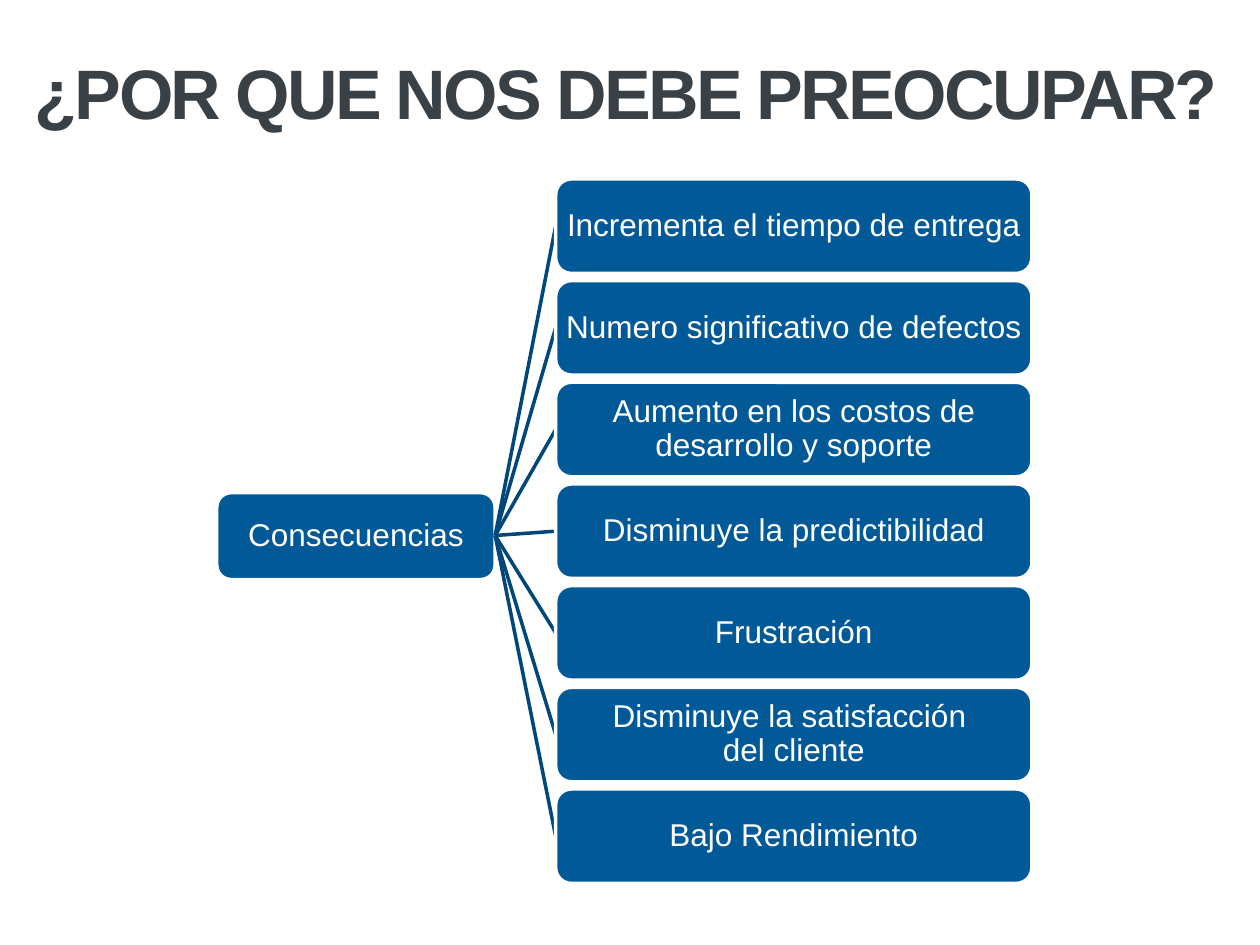
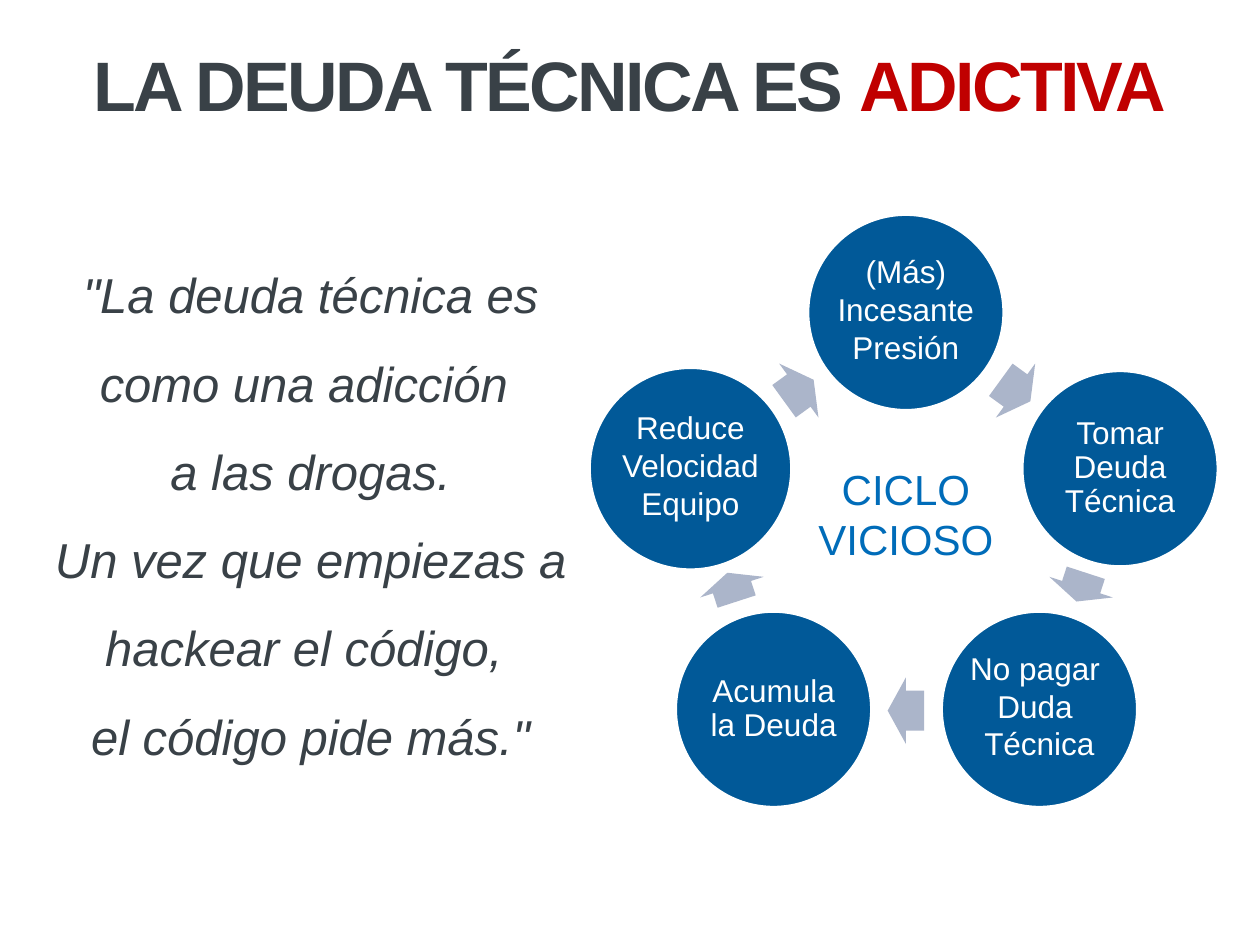
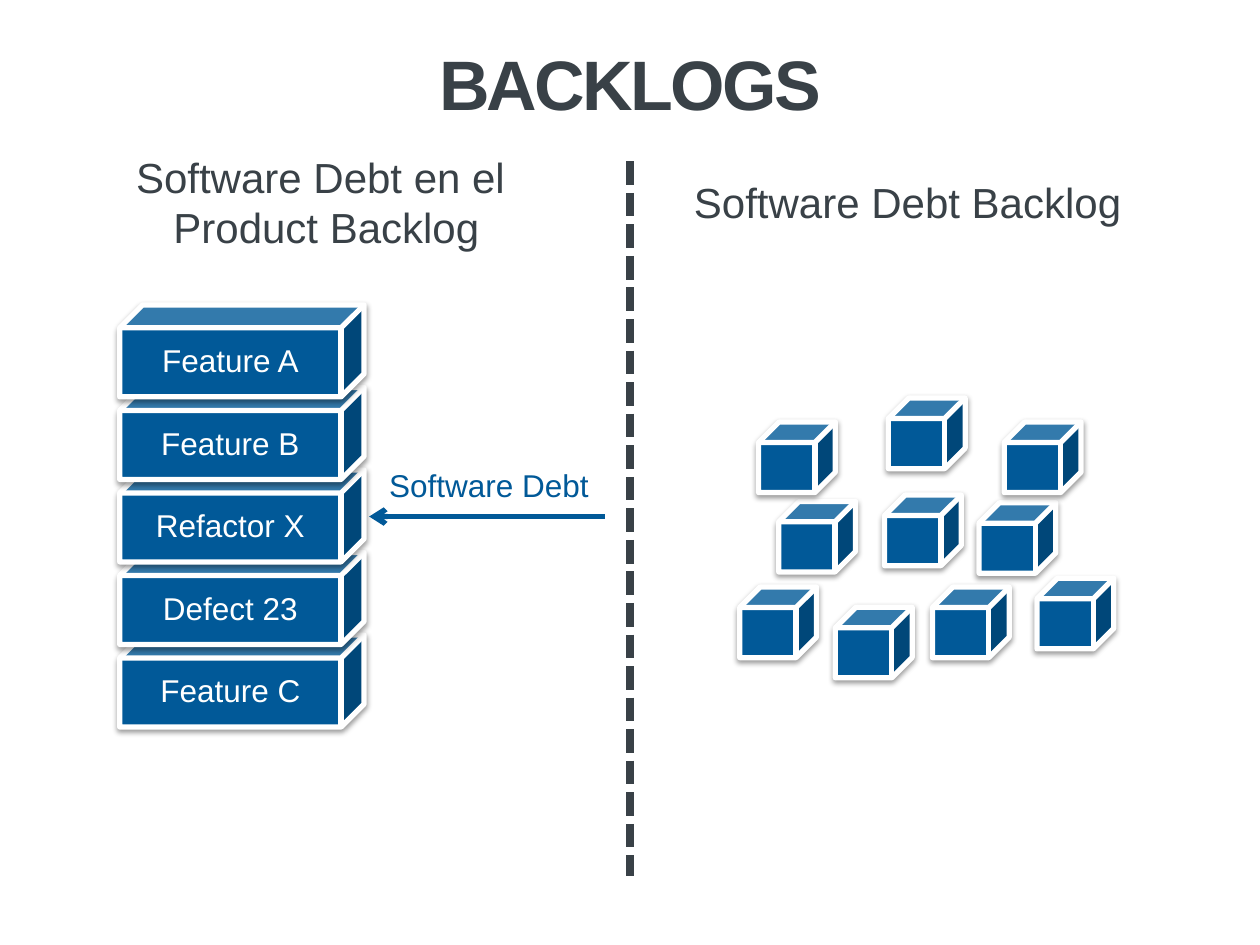
import pptx
import pptx.util
import pptx.dml.color
import pptx.enum.dml
import pptx.enum.shapes
import pptx.enum.text
import pptx.oxml
import pptx.oxml.ns

Inches = pptx.util.Inches
Pt = pptx.util.Pt
RGBColor = pptx.dml.color.RGBColor
SHAPE = pptx.enum.shapes.MSO_SHAPE
ALIGN = pptx.enum.text.PP_ALIGN
ANCHOR = pptx.enum.text.MSO_ANCHOR
qn = pptx.oxml.ns.qn

BLUE = RGBColor(0x01, 0x59, 0x98)
DARK_BLUE = RGBColor(0x01, 0x47, 0x7A)
BRIGHT_BLUE = RGBColor(0x00, 0x6C, 0xB9)
GREY_BLUE = RGBColor(0xAB, 0xB5, 0xCA)
SLATE = RGBColor(0x39, 0x41, 0x47)
RED = RGBColor(0xC0, 0x00, 0x00)
WHITE = RGBColor(0xFF, 0xFF, 0xFF)

SHADOW = (
    '<a:outerShdw %s blurRad="39370" dist="20320" dir="5400000" rotWithShape="0">'
    '<a:srgbClr val="000000"><a:alpha val="38000"/></a:srgbClr></a:outerShdw>'
    % pptx.oxml.ns.nsdecls("a")
)


class Deck:
    """Holds the deck style and the slide being drawn."""

    font = "Arial"

    def __init__(self):
        self.prs = pptx.Presentation()
        self.prs.slide_width, self.prs.slide_height = Inches(10), Inches(7.5)
        self.slide = None

    def new_slide(self):
        self.slide = self.prs.slides.add_slide(self.prs.slide_layouts[6])

    def run(self, p, text, size, color, bold=False, italic=False):
        """Add text to a paragraph; a newline becomes a line break."""
        for i, line in enumerate(text.split("\n")):
            if i:
                p.add_line_break()
            r = p.add_run()
            r.text = line
            r.font.name, r.font.size = self.font, Pt(size)
            r.font.bold, r.font.italic = bold, italic
            r.font.color.rgb = color
        return r

    def title(self, y, h, *parts, x=0.5, w=9):
        box = self.slide.shapes.add_textbox(Inches(x), Inches(y), Inches(w), Inches(h))
        tf = box.text_frame
        tf.word_wrap, tf.vertical_anchor = True, ANCHOR.MIDDLE
        p = tf.paragraphs[0]
        p.alignment = ALIGN.CENTER
        for text, color in parts:
            r = self.run(p, text, 40, color, bold=True)
            r.font._element.set("spc", "-150")

    def text(self, x, y, w, h, *paragraphs, size, color, align=ALIGN.CENTER,
             spacing=1.0, italic=False, wrap=True):
        box = self.slide.shapes.add_textbox(Inches(x), Inches(y), Inches(w), Inches(h))
        tf = box.text_frame
        tf.word_wrap = wrap
        for i, text in enumerate(paragraphs):
            p = tf.add_paragraph() if i else tf.paragraphs[0]
            p.alignment, p.line_spacing = align, spacing
            self.run(p, text, size, color, italic=italic)

    def shape(self, kind, x, y, w, h, fill=BLUE, outline=2, adjust=()):
        sp = self.slide.shapes.add_shape(kind, Inches(x), Inches(y), Inches(w), Inches(h))
        sp.shadow.inherit = False
        sp.fill.solid()
        sp.fill.fore_color.rgb = fill
        if outline:
            sp.line.color.rgb, sp.line.width = WHITE, Pt(outline)
        else:
            sp.line.fill.background()
        for i, value in enumerate(adjust):
            sp.adjustments[i] = value
        return sp

    def label(self, sp, text, inset, spacing=0.9, wrap=True, raise_by=0):
        """Write white centred text inside a shape."""
        tf = sp.text_frame
        tf.word_wrap, tf.vertical_anchor = wrap, ANCHOR.MIDDLE
        tf.margin_left = tf.margin_right = tf.margin_top = Inches(inset)
        tf.margin_bottom = Inches(inset + 2 * raise_by)
        p = tf.paragraphs[0]
        p.alignment, p.line_spacing = ALIGN.CENTER, spacing
        self.run(p, text, 18, WHITE)

    def cube(self, x, y, w, h, depth=0.25):
        sp = self.shape(SHAPE.CUBE, x, y, w, h, outline=3, adjust=(depth,))
        sp._element.spPr.find(qn("a:effectLst")).append(pptx.oxml.parse_xml(SHADOW))
        return sp

    def line(self, x1, y1, x2, y2, color, width, dash=None, arrow=False):
        c = self.slide.shapes.add_connector(
            pptx.enum.shapes.MSO_CONNECTOR.STRAIGHT,
            Inches(x1), Inches(y1), Inches(x2), Inches(y2))
        c.line.color.rgb, c.line.width = color, Pt(width)
        if dash:
            c.line.dash_style = dash
        spPr = c._element.spPr
        if arrow:
            tail = spPr.find(qn("a:ln")).makeelement(qn("a:tailEnd"), {"type": "arrow"})
            spPr.find(qn("a:ln")).append(tail)
        spPr.append(spPr.makeelement(qn("a:effectLst"), {}))


def consequences(deck):
    deck.new_slide()
    deck.title(0.31, 0.84, ("¿POR QUE NOS DEBE PREOCUPAR?", SLATE), x=0.03, w=9.88)

    # Root of the tree
    root = deck.shape(SHAPE.ROUNDED_RECTANGLE, 1.72, 3.91, 2.21, 0.69, adjust=(0.1667,))
    deck.label(root, "Consecuencias", 0.01)

    # Branches, each line lying under its box
    effects = [
        "Incrementa el tiempo de entrega",
        "Numero significativo de defectos",
        "Aumento en los costos de desarrollo y soporte",
        "Disminuye la predictibilidad",
        "Frustración",
        "Disminuye la satisfacción \ndel cliente",
        "Bajo Rendimiento",
    ]
    height, pitch = 0.75, 0.807
    for i, effect in enumerate(effects):
        y = 1.42 + i * pitch
        deck.line(3.93, 4.25, 4.41, y + height / 2, DARK_BLUE, 2)
        box = deck.shape(SHAPE.ROUNDED_RECTANGLE, 4.41, y, 3.78, height)
        deck.label(box, effect, 0.01)


def vicious_circle(deck):
    deck.new_slide()
    deck.title(0.33, 0.67, ("LA DEUDA TÉCNICA ES ", SLATE), ("ADICTIVA", RED))
    deck.text(0.28, 1.82, 4.37, 4.34,
              '"La deuda técnica es como una adicción \na las drogas.',
              'Un vez que empiezas a hackear el código, \nel código pide más."',
              size=28, color=SLATE, spacing=1.5, italic=True)

    # Steps: text, centre and diameter; then centre and length of the next arrow
    steps = [
        ("(Más)\nIncesante\nPresión", 7.19, 2.48, 1.56, 8.06, 3.1, 0.29),
        ("Tomar Deuda Técnica", 8.89, 3.72, 1.56, 8.58, 4.66, 0.24),
        ("No pagar \nDuda \nTécnica", 8.25, 5.63, 1.56, 7.19, 5.64, 0.29),
        ("Acumula la Deuda", 6.14, 5.63, 1.56, 5.81, 4.66, 0.24),
        ("Reduce\nVelocidad\nEquipo", 5.48, 3.72, 1.61, 6.34, 3.1, 0.29),
    ]
    breadth = 0.53
    for i, (text, x, y, size, arrow_x, arrow_y, length) in enumerate(steps):
        circle = deck.shape(SHAPE.OVAL, x - size / 2, y - size / 2, size, size)
        if "\n" in text:
            deck.label(circle, text, 0.03, spacing=1.0, wrap=False, raise_by=0.03)
        else:
            deck.label(circle, text, 0.03)
        arrow = deck.shape(SHAPE.RIGHT_ARROW, arrow_x - length / 2, arrow_y - breadth / 2,
                           length, breadth, GREY_BLUE, outline=0, adjust=(0.6, 0.5))
        arrow.rotation = 36 + i * 360 / len(steps)

    deck.text(6.39, 3.63, 1.6, 0.91, "CICLO\nVICIOSO", size=24, color=BRIGHT_BLUE, wrap=False)


def backlogs(deck):
    deck.new_slide()
    deck.title(0.33, 0.65, ("BACKLOGS", SLATE))

    # Product backlog, stacked from the bottom up
    items = ["Feature C", "Defect 23", "Refactor X", "Feature B", "Feature A"]
    for i, item in enumerate(items):
        deck.label(deck.cube(0.95, 5.04 - i * 0.655, 1.94, 0.73), item, 0.05)
    deck.line(4.8, 4.1, 2.93, 4.1, BLUE, 3, arrow=True)
    deck.text(2.99, 3.65, 1.93, 0.4, "Software Debt", size=18, color=BLUE, align=ALIGN.LEFT)

    # Loose debt items
    debts = [(5.87, 4.66), (6.18, 3.98), (6.02, 3.35), (6.63, 4.82), (7.4, 4.66),
             (8.23, 4.59), (7.77, 3.99), (7.97, 3.35), (7.05, 3.16), (7.02, 3.93)]
    for x, y in debts:
        deck.cube(x, y, 0.61, 0.56, depth=0.29)

    # Divider and column headings
    deck.line(5, 1.28, 5, 6.95, SLATE, 4.5, dash=pptx.enum.dml.MSO_LINE.SQUARE_DOT)
    deck.text(5.41, 1.35, 3.84, 0.5, "Software Debt Backlog",
              size=24, color=SLATE, align=ALIGN.LEFT)
    deck.text(0.87, 1.15, 3.44, 0.91, "Software Debt en el \nProduct Backlog",
              size=24, color=SLATE, wrap=False)


def main():
    deck = Deck()
    consequences(deck)
    vicious_circle(deck)
    backlogs(deck)
    deck.prs.save("out.pptx")


if __name__ == "__main__":
    main()
